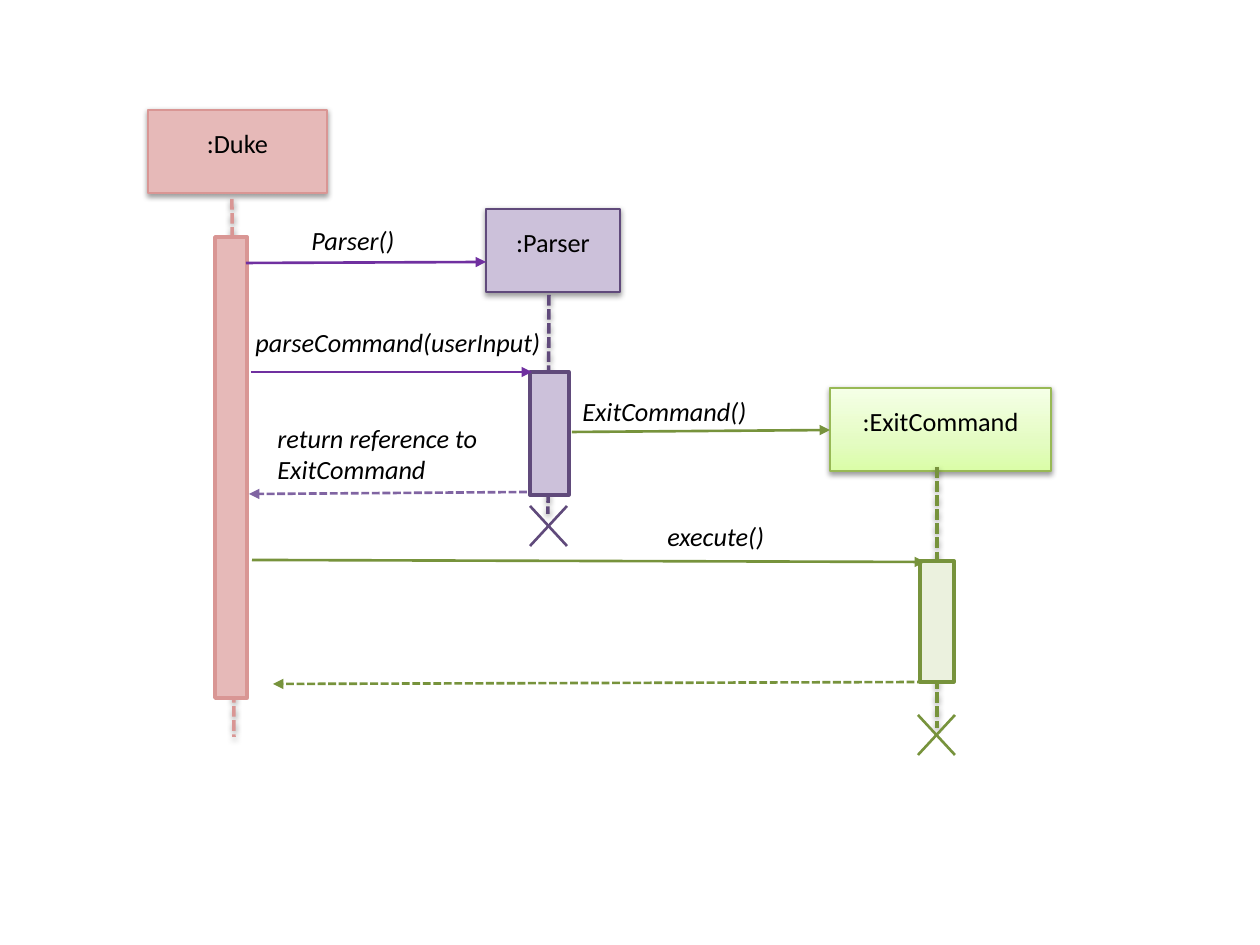
from lxml import etree
from copy import deepcopy
from pptx import Presentation
from pptx.dml.color import RGBColor
from pptx.enum.dml import MSO_LINE
from pptx.enum.shapes import MSO_CONNECTOR, MSO_SHAPE
from pptx.enum.text import MSO_ANCHOR, PP_ALIGN
from pptx.oxml.ns import qn
from pptx.util import Emu, Inches, Pt

RECTANGLE = MSO_SHAPE.RECTANGLE
STRAIGHT = MSO_CONNECTOR.STRAIGHT
DASHED = MSO_LINE.SQUARE_DOT
TOP = MSO_ANCHOR.TOP
CENTER = PP_ALIGN.CENTER
LEFT = PP_ALIGN.LEFT

COLORS = {
    "text": "000000", "shadow": "000000",
    "duke_fill": "E6B9B8", "duke_line": "D99694",
    "parser_fill": "CCC1DA", "parser_line": "604A7B",
    "parser_call": "7030A0", "parser_return": "8064A2",
    "exit_fill": "EBF1DE", "exit_border": "98B955", "exit_line": "77933C",
    "exit_low": "DAFDA7", "exit_mid": "E4FCC2", "exit_high": "F5FFE7",
}
EXIT_GRADIENT = [(0, "exit_low"), (0.35, "exit_mid"), (1, "exit_high")]


class SequenceDiagram:
    font = "Calibri"
    size = 15
    scale = 914400 / 126

    def __init__(self, slide):
        self.slide = slide

    def emu(self, *pixels):
        return [Emu(round(value * self.scale)) for value in pixels]

    def color(self, name):
        return RGBColor.from_string(COLORS[name])

    def effects(self, element, shadow):
        """Replace the theme's effects by one soft shadow or by none."""
        effect_list = etree.SubElement(element.spPr, qn("a:effectLst"))
        if shadow:
            outer = etree.SubElement(effect_list, qn("a:outerShdw"), blurRad="40000",
                                     dist="20000", dir="5400000", rotWithShape="0")
            tint = etree.SubElement(outer, qn("a:srgbClr"), val=COLORS["shadow"])
            etree.SubElement(tint, qn("a:alpha"), val="38000")

    def set_text(self, shape, text, align, italic):
        frame = shape.text_frame
        frame.word_wrap = True
        frame.vertical_anchor = TOP
        frame.text = text
        paragraph = frame.paragraphs[0]
        paragraph.alignment = align
        font = paragraph.runs[0].font
        font.name, font.size, font.italic = self.font, Pt(self.size), italic
        font.color.rgb = self.color("text")

    def gradient(self, shape, stops):
        shape.fill.gradient()
        shape.fill.gradient_angle = 90
        stop_list = shape.element.spPr.find(".//" + qn("a:gsLst"))
        stop_list.append(deepcopy(stop_list[-1]))
        for stop, (position, name) in zip(shape.fill.gradient_stops, stops):
            stop.position = position
            stop.color.rgb = self.color(name)

    def box(self, bounds, fill, line, width, shadow=False):
        shape = self.slide.shapes.add_shape(RECTANGLE, *self.emu(*bounds))
        if isinstance(fill, list):
            self.gradient(shape, fill)
        else:
            shape.fill.solid()
            shape.fill.fore_color.rgb = self.color(fill)
        shape.line.color.rgb = self.color(line)
        shape.line.width = Pt(width)
        self.effects(shape.element, shadow)
        return shape

    def participant(self, text, left, top, width, fill, line):
        shape = self.box((left, top, width, 83), fill, line, 1.5, shadow=True)
        self.set_text(shape, text, CENTER, False)
        shape.text_frame.margin_top, = self.emu(17)

    def activation(self, bounds, fill, line):
        self.box(bounds, fill, line, 2)

    def line(self, ends, color, width=1.5, dashed=False, shadow=False):
        connector = self.slide.shapes.add_connector(STRAIGHT, *self.emu(*ends))
        connector.line.color.rgb = self.color(color)
        connector.line.width = Pt(width)
        if dashed:
            connector.line.dash_style = DASHED
        self.effects(connector.element, shadow)
        return connector

    def lifeline(self, ends, color):
        self.line(ends, color, 2, dashed=True, shadow=True)

    def message(self, ends, color, dashed=False):
        connector = self.line(ends, color, dashed=dashed)
        outline = connector.element.spPr.find(qn("a:ln"))
        etree.SubElement(outline, qn("a:tailEnd"), type="triangle")

    def label(self, text, left, top, width, height=44):
        box = self.slide.shapes.add_textbox(*self.emu(left, top, width, height))
        self.set_text(box, text, LEFT, True)

    def destruction(self, left, top, color, width=37, height=40):
        right, bottom = left + width, top + height
        self.line((right, bottom, left, top), color)
        self.line((right, top, left, bottom), color)


presentation = Presentation()
presentation.slide_width, presentation.slide_height = Inches(10), Inches(7.5)
diagram = SequenceDiagram(presentation.slides.add_slide(presentation.slide_layouts[6]))

# Participants
diagram.participant(":Duke", 148, 110, 179, "duke_fill", "duke_line")
diagram.participant(":Parser", 486, 209, 134, "parser_fill", "parser_line")
diagram.participant(":ExitCommand", 830, 388, 221, EXIT_GRADIENT, "exit_border")

# Lifelines
diagram.lifeline((232, 199, 234, 737), "duke_line")
diagram.lifeline((549, 295, 548, 514), "parser_line")
diagram.lifeline((937, 467, 937, 728), "exit_line")

# Activation bars
diagram.activation((215, 237, 32, 461), "duke_fill", "duke_line")
diagram.activation((530, 372, 39, 123), "parser_fill", "parser_line")
diagram.activation((920, 561, 34, 121), "exit_fill", "exit_line")

# Calls and returns
diagram.message((246, 263, 486, 262), "parser_call")
diagram.message((251, 372, 532, 372), "parser_call")
diagram.message((572, 432, 830, 430), "exit_line")
diagram.message((527, 492, 249, 494), "parser_return", dashed=True)
diagram.message((252, 560, 925, 562), "exit_line")
diagram.message((925, 682, 273, 684), "exit_line", dashed=True)

# Message labels
diagram.label("Parser()", 299, 218, 163)
diagram.label("parseCommand(userInput)", 243, 320, 344)
diagram.label("ExitCommand()", 570, 389, 287)
diagram.label("return reference to ExitCommand", 265, 416, 236, 77)
diagram.label("execute()", 655, 514, 122)

# Ends of life
diagram.destruction(530, 506, "parser_line")
diagram.destruction(918, 715, "exit_line")

presentation.save("out.pptx")
